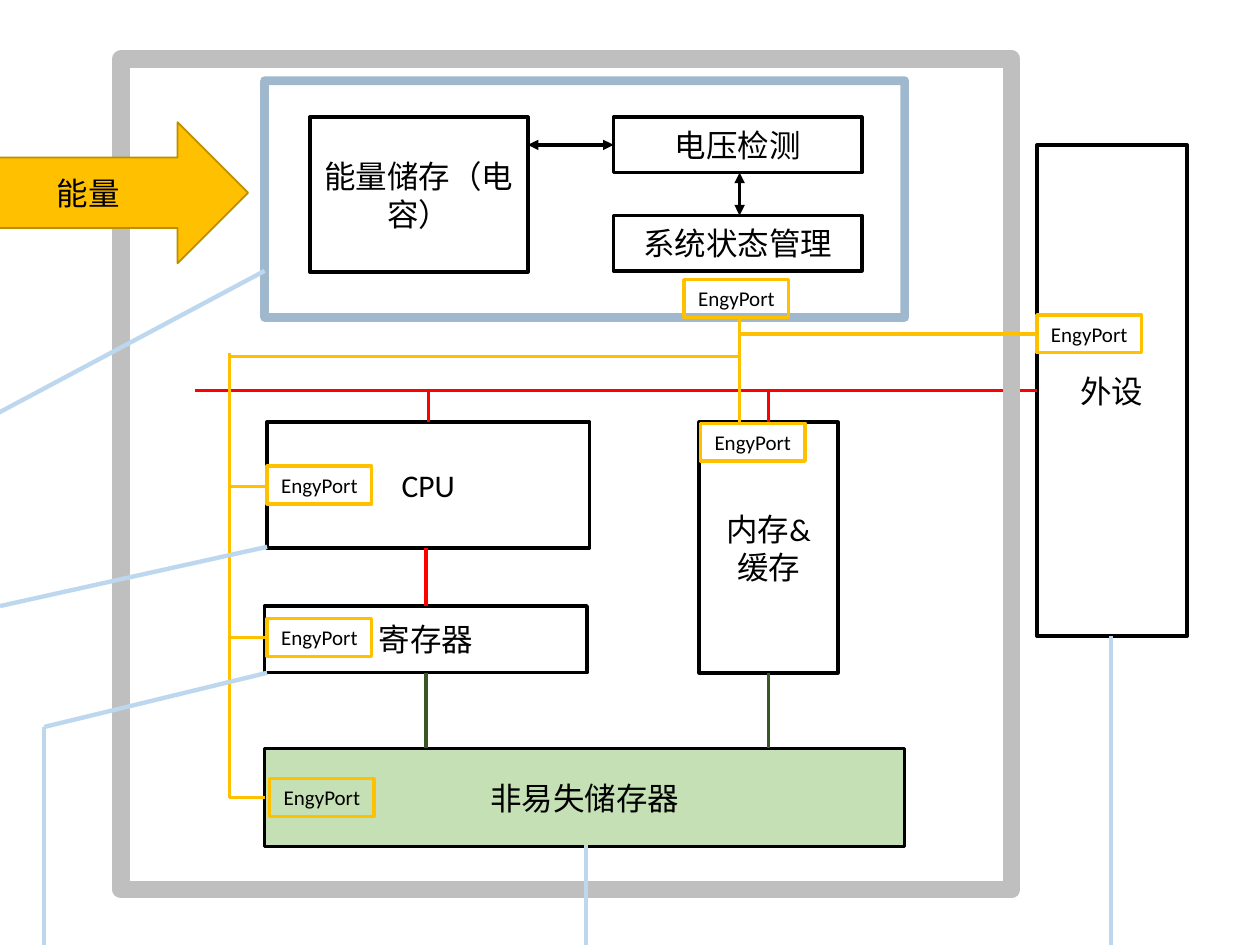
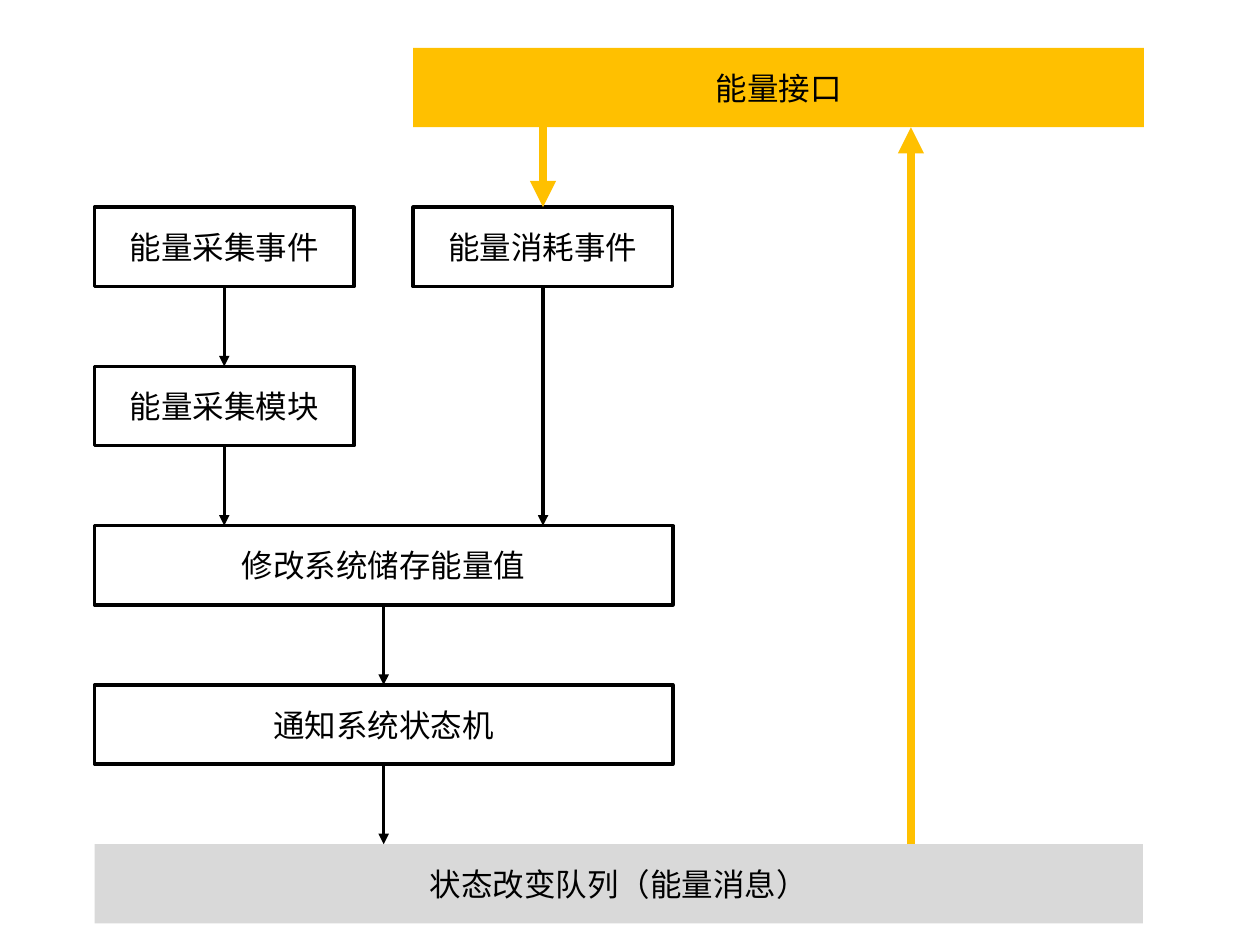
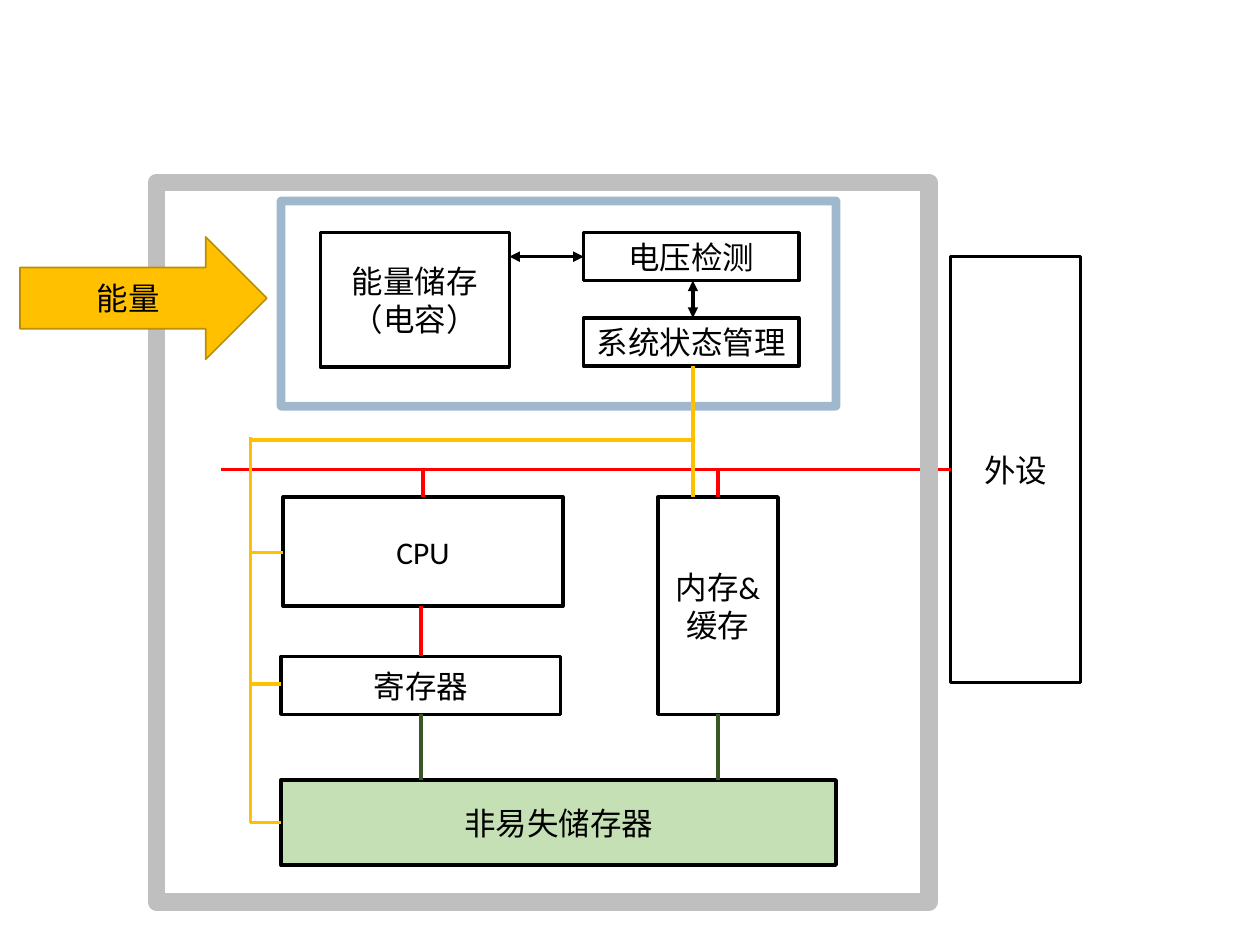
import pptx
import pptx.util
import pptx.dml.color
import pptx.enum.shapes
import pptx.enum.text
import pptx.oxml
import pptx.oxml.ns

HUES = {
    "ink": "000000", "gold": "FFC000", "rim": "BD8E00", "red": "FF0000",
    "green": "385723", "leaf": "C5E0B4", "blue": "43739E", "sky": "BDD7EE",
    "gray": "BFBFBF", "pale": "D9D9D9",
}
FONT = "Calibri"
KINDS = pptx.enum.shapes.MSO_SHAPE


def hue(name):
    """Return the named colour."""
    return pptx.dml.color.RGBColor.from_string(HUES[name])


def add_tag(parent, tag, **traits):
    """Append a drawing element with the given attributes."""
    node = pptx.oxml.parse_xml(f"<a:{tag} {pptx.oxml.ns.nsdecls('a')}/>")
    for key, value in traits.items():
        node.set(key, value)
    parent.append(node)


class Deck:
    """Hold the style, the current slide and the scale of its drawing."""

    def __init__(self):
        """Start an empty deck."""
        self.show = pptx.Presentation()
        self.show.slide_width = pptx.util.Inches(10)
        self.show.slide_height = pptx.util.Inches(7.5)

    def start(self, zoom=1, left=0, top=0):
        """Add a blank slide whose drawing is scaled and moved."""
        self.slide = self.show.slides.add_slide(self.show.slide_layouts[6])
        self.zoom, self.left, self.top = zoom, left, top

    def place(self, x, y):
        """Turn a point of the drawing into slide lengths."""
        return (pptx.util.Inches(self.left + self.zoom * x),
                pptx.util.Inches(self.top + self.zoom * y))

    def box(self, text, x, y, wide, high, fill=None, edge="ink", weight=2,
            size=18, kind=KINDS.RECTANGLE):
        """Draw a shape with centred text."""
        shape = self.slide.shapes.add_shape(
            kind, *self.place(x, y),
            pptx.util.Inches(self.zoom * wide), pptx.util.Inches(self.zoom * high))
        shape.shadow.inherit = False
        if fill:
            shape.fill.solid()
            shape.fill.fore_color.rgb = hue(fill)
        else:
            shape.fill.background()
        if edge:
            shape.line.color.rgb = hue(edge)
            shape.line.width = pptx.util.Pt(weight)
        else:
            shape.line.fill.background()
        if text:
            frame = shape.text_frame
            frame.word_wrap = True
            frame.vertical_anchor = pptx.enum.text.MSO_ANCHOR.MIDDLE
            frame.text = text
            para = frame.paragraphs[0]
            para.alignment = pptx.enum.text.PP_ALIGN.CENTER
            font = para.runs[0].font
            font.name, font.size = FONT, pptx.util.Pt(size)
            font.color.rgb = hue("ink")
        return shape

    def port(self, x, y):
        """Draw an energy port."""
        self.box("EngyPort", x, y, 0.83, 0.3, edge="gold", size=12)

    def wire(self, x1, y1, x2, y2, tint="ink", weight=2, ends=()):
        """Draw a straight line with arrowheads at the given ends."""
        line = self.slide.shapes.add_connector(
            pptx.enum.shapes.MSO_CONNECTOR.STRAIGHT,
            *self.place(x1, y1), *self.place(x2, y2))
        line.line.color.rgb = hue(tint)
        line.line.width = pptx.util.Pt(weight)
        props = line.element.spPr
        for end in ends:
            add_tag(props.find(pptx.oxml.ns.qn("a:ln")), end, type="triangle")
        add_tag(props, "effectLst")

    def system(self, trunk):
        """Draw the system, its energy trunk starting at the given height."""
        self.box("CPU", 2.12, 3.35, 2.56, 1)
        self.box("寄存器", 2.1, 4.81, 2.56, 0.53)
        self.box("内存&缓存", 5.55, 3.35, 1.1, 1.99)
        self.box("外设", 8.23, 1.15, 1.19, 3.9)
        power = self.box("", 2.1, 0.64, 5.08, 1.88, edge="blue", weight=5)
        tint = power.element.find(".//" + pptx.oxml.ns.qn("a:ln")).find(
            ".//" + pptx.oxml.ns.qn("a:srgbClr"))
        add_tag(tint, "alpha", val="50000")
        self.box("能量储存（电容）", 2.46, 0.93, 1.73, 1.23)
        self.box("电压检测", 4.87, 0.93, 1.97, 0.44)
        self.box("系统状态管理", 4.87, 1.71, 1.97, 0.44)
        both = ("headEnd", "tailEnd")
        self.wire(4.87, 1.15, 4.19, 1.15, ends=both)
        self.wire(5.87, 1.37, 5.87, 1.71, ends=both)
        for x in (3.4, 6.1):
            self.wire(x, 3.35, x, 3.1, "red")
        self.wire(3.38, 4.35, 3.38, 4.81, "red")
        self.box("非易失储存器", 2.1, 5.94, 5.08, 0.78, fill="leaf")
        self.wire(1.55, 3.1, 8.23, 3.1, "red")
        self.wire(5.87, trunk, 5.87, 3.35, "gold")
        self.wire(5.87, 2.83, 1.82, 2.83, "gold")
        self.wire(1.82, 2.8, 1.82, 6.33, "gold")
        for y, x in ((3.86, 2.12), (5.06, 2.1), (6.33, 2.1)):
            self.wire(1.82, y, x, y, "gold")
        for x in (3.38, 6.1):
            self.wire(x, 5.34, x, 5.94, "green")
        self.box("", 0.96, 0.47, 7.07, 6.59, edge="gray", weight=10)
        self.box("能量", -0.29, 0.97, 2.26, 1.12, fill="gold", edge="rim",
                 weight=1, kind=KINDS.RIGHT_ARROW)


def draw_ports(deck):
    """Draw the system with its energy ports and outgoing links."""
    deck.start()
    deck.system(trunk=2.52)
    for x, y in ((5.43, 2.22), (5.56, 3.36), (2.12, 3.7),
                 (2.12, 4.91), (2.14, 6.18), (8.23, 2.5)):
        deck.port(x, y)
    deck.wire(8.23, 2.65, 5.87, 2.65, "gold")
    for ends in ((2.1, 2.15, -0.45, 3.51), (8.82, 5.05, 8.82, 7.77),
                 (2.12, 4.34, 0, 4.81), (2.12, 5.34, 0.35, 5.77),
                 (4.65, 6.71, 4.65, 7.77), (0.35, 5.77, 0.35, 7.77)):
        deck.wire(*ends, "sky", 2.5)


def draw_flow(deck):
    """Draw the flow of energy events."""
    deck.start()
    high = 0.63
    rows = [0.38 + 1.264 * i for i in range(6)]
    near, far = 0.75, 3.28
    slim, broad = 2.06, 4.59
    for text, x, row, wide in (
            ("能量采集模块", near, 2, slim), ("能量采集事件", near, 1, slim),
            ("修改系统储存能量值", near, 3, broad),
            ("通知系统状态机", near, 4, broad), ("能量消耗事件", far, 1, slim)):
        deck.box(text, x, rows[row], wide, high)
    deck.box("状态改变队列（能量消息）", near, rows[5], 8.32, high, "pale", None)
    deck.box("能量接口", far, rows[0], 5.8, high, "gold", None)
    left, mid, right = near + slim / 2, near + broad / 2, far + slim / 2
    for x, start, stop, tint, weight in (
            (left, 1, 2, "ink", 2), (left, 2, 3, "ink", 2),
            (mid, 3, 4, "ink", 2), (mid, 4, 5, "ink", 2),
            (right, 1, 3, "ink", 2), (right, 0, 1, "gold", 5)):
        deck.wire(x, rows[start] + high, x, rows[stop], tint, weight, ["tailEnd"])
    deck.wire(7.23, rows[5], 7.23, rows[0] + high, "gold", 5, ["tailEnd"])


def draw_core(deck):
    """Draw the system alone at a smaller scale."""
    deck.start(zoom=0.867, left=0.41, top=1.04)
    deck.system(trunk=2.15)


deck = Deck()
draw_ports(deck)
draw_flow(deck)
draw_core(deck)
deck.show.save("out.pptx")
